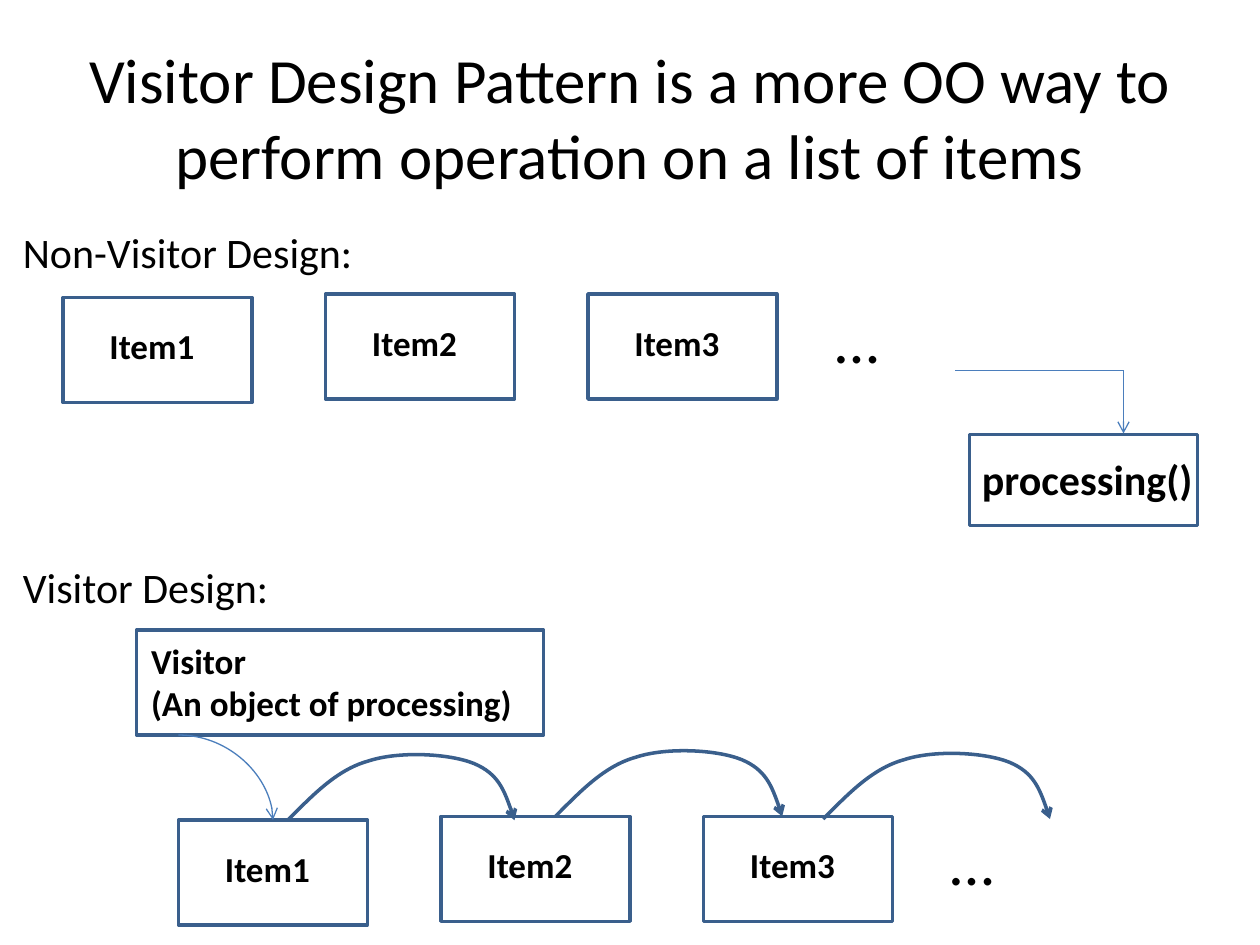
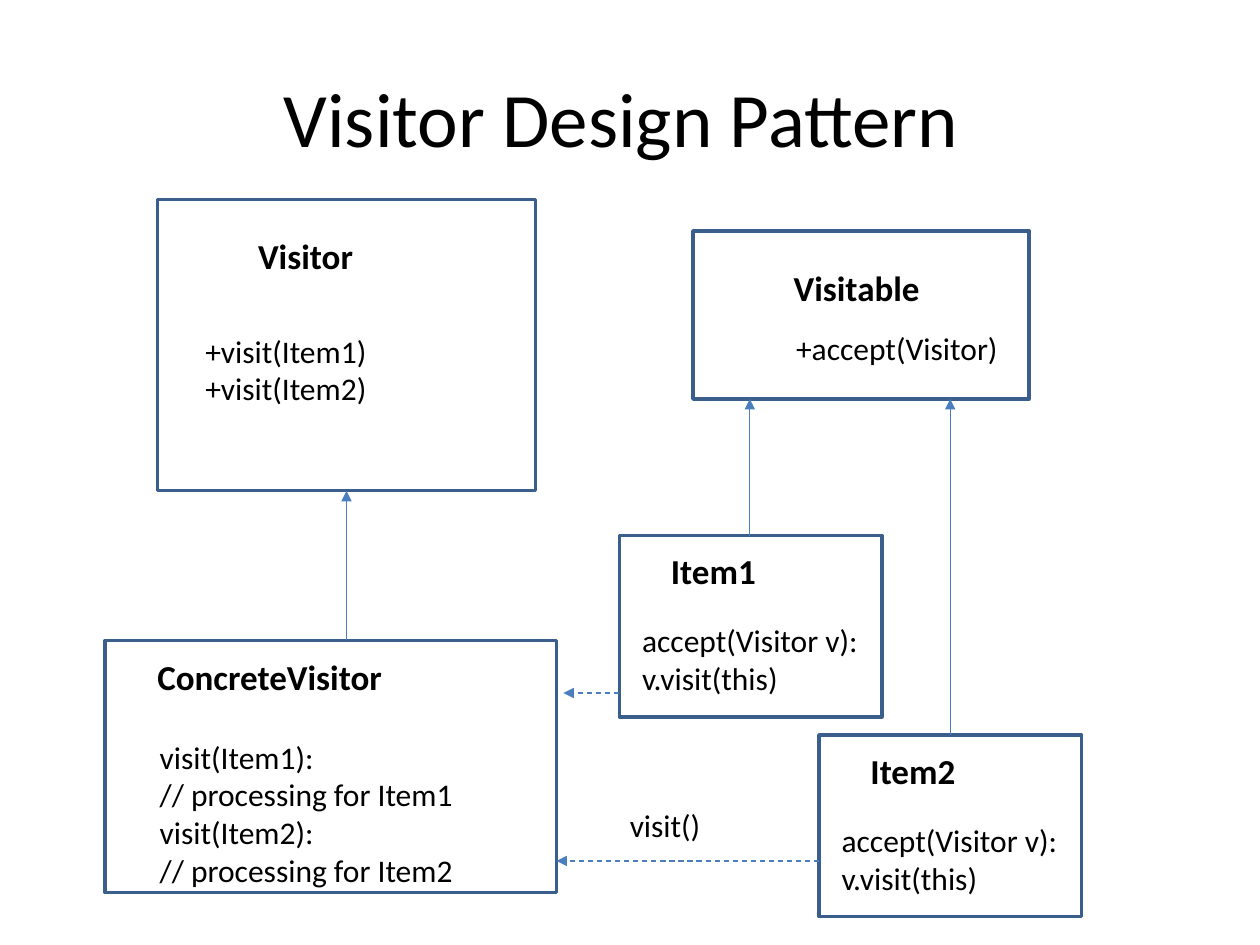
import pptx
import pptx.dml.color
import pptx.enum.dml
import pptx.enum.shapes
import pptx.enum.text
import pptx.oxml.ns
import pptx.oxml.xmlchemy
import pptx.util
from lxml import etree

Pt = pptx.util.Pt
qn = pptx.oxml.ns.qn
FONT = "Calibri"
TEXT = "000000"
OUTLINE = "3A5F8C"
ARROW = "4B7EBC"
CONNECTOR = pptx.enum.shapes.MSO_CONNECTOR
ITEM_SIZE = (108, 60)
ITEM_STEP = 150
HOP = [(0, 0), (14.4, -14.4), (28, -28.8), (46, -33.8), (63.4, -39.6),
       (92.2, -38.2), (106.5, -32.4), (120.2, -26.6), (125.3, -13.7), (129.6, 0)]


def color(value):
    return pptx.dml.color.RGBColor.from_string(value)


def points(*values):
    return [Pt(value) for value in values]


def format_text(frame, size, bold=False):
    for para in frame.paragraphs:
        for span in para.runs:
            span.font.name = FONT
            span.font.size = Pt(size)
            span.font.bold = bold
            span.font.color.rgb = color(TEXT)


def set_line(shape, value, width, head=None):
    shape.line.color.rgb = color(value)
    shape.line.width = Pt(width)
    if head:
        line = shape.line._get_or_add_ln()
        etree.SubElement(line, qn("a:tailEnd"), type=head)


def new_page(deck, title, size):
    page = deck.slides.add_slide(deck.slide_layouts[5])
    box = page.shapes.title
    box.left, box.top, box.width, box.height = points(36, 21.6, 648, 90)
    frame = box.text_frame
    frame.text = title
    frame.vertical_anchor = pptx.enum.text.MSO_ANCHOR.MIDDLE
    frame.paragraphs[0].alignment = pptx.enum.text.PP_ALIGN.CENTER
    format_text(frame, size)
    return page


def add_label(shapes, left, top, width, text, size, bold=False, wrap=False):
    height = 1.2 * size * len(text.split("\n")) + 7.2
    box = shapes.add_textbox(*points(left, top, width, height))
    frame = box.text_frame
    frame.word_wrap = wrap
    frame.auto_size = pptx.enum.text.MSO_AUTO_SIZE.SHAPE_TO_FIT_TEXT
    frame.text = text
    format_text(frame, size, bold)


def add_frame(shapes, left, top, width, height):
    shape = shapes.add_shape(pptx.enum.shapes.MSO_SHAPE.RECTANGLE,
                             *points(left, top, width, height))
    shape.shadow.inherit = False
    shape.fill.background()
    set_line(shape, OUTLINE, 2)


def add_arrow(page, start, end, head=None, dashed=False, kind=CONNECTOR.STRAIGHT):
    arrow = page.shapes.add_connector(kind, *points(*start, *end))
    if dashed:
        arrow.line.dash_style = pptx.enum.dml.MSO_LINE.DASH
    set_line(arrow, ARROW, 0.75, head)
    etree.SubElement(arrow._element.spPr, qn("a:effectLst"))
    return arrow


def add_quarter_curve(page, start, end):
    arrow = add_arrow(page, start, end, "arrow", kind=CONNECTOR.CURVE)
    arrow._element.spPr.find(qn("a:prstGeom")).set("prst", "curvedConnector2")


def add_hop(page, left, top):
    corners = [(Pt(left + x), Pt(top + y)) for x, y in HOP]
    builder = page.shapes.build_freeform(*corners[0])
    builder.add_line_segments(corners[1:], close=False)
    hop = builder.convert_to_shape()
    steps = list(hop._element.iter(qn("a:lnTo")))
    for first in range(0, len(steps), 3):
        curve = etree.Element(qn("a:cubicBezTo"))
        steps[first].addprevious(curve)
        for step in steps[first:first + 3]:
            curve.append(step[0])
            step.getparent().remove(step)
    hop.shadow.inherit = False
    hop.fill.background()
    set_line(hop, OUTLINE, 2, "arrow")


def add_item_row(page, left, top):
    for index in range(3):
        item_left = left + index * ITEM_STEP
        item_top = top + (2 if index == 0 else 0)
        group = page.shapes.add_group_shape()
        add_frame(group.shapes, item_left, item_top, *ITEM_SIZE)
        add_label(group.shapes, item_left + 19.5, item_top + 12, 76.3,
                  f"Item{index + 1}", 20, bold=True, wrap=True)
    add_label(page.shapes, left + 434.2, top, 39.6, "…", 36)


def add_direct_design(page, left, top):
    add_label(page.shapes, left, top, 204.5, "Non-Visitor Design:", 24)
    add_item_row(page, left + 30, top + 42)
    add_frame(page.shapes, left + 548, top + 122.4, 130.3, 51.8)
    add_label(page.shapes, left + 548, top + 129.6, 136, "processing()", 24, bold=True)
    bend = (left + 636, top + 85.7)
    add_arrow(page, (left + 540, top + 85.7), bend)
    add_arrow(page, bend, (left + 636, top + 121.7), "arrow")


def add_visitor_design(page, left, top):
    add_label(page.shapes, left, top, 156.2, "Visitor Design:", 24)
    add_frame(page.shapes, left + 72, top + 42.5, 232.6, 60)
    add_label(page.shapes, left + 73.2, top + 44.6, 236.9,
              "Visitor\n(An object of processing)", 20, bold=True, wrap=True)
    add_item_row(page, left + 96, top + 149)
    add_quarter_curve(page, (left + 96, top + 102.5), (left + 150, top + 151))
    for index, rise in enumerate((0, 2.2, 0.7)):
        add_hop(page, left + 158.4 + 153 * index, top + 151.2 - rise)


def add_class(page, box, name, name_box, body, body_box):
    left, top = box[:2]
    add_frame(page.shapes, *box)
    for text, size, (x, y, width) in ((name, 20, name_box), (body, 18, body_box)):
        add_label(page.shapes, left + x, top + y, width, text, size, bold=text == name)


def add_item_class(page, left, top, name):
    add_class(page, (left, top, 150, 103.7), name, (22.3, 4.6, 63.4),
              "accept(Visitor v):\nv.visit(this)", (5.8, 45.6, 143.3))


def comparison_page(deck):
    page = new_page(deck, "Visitor Design Pattern is a more OO way to "
                          "perform operation on a list of items", 36)
    add_direct_design(page, 6, 126)
    add_visitor_design(page, 6, 317.5)


def class_page(deck):
    page = new_page(deck, "Visitor Design Pattern ", 44)
    add_class(page, (396, 132, 192, 96), "Visitable", (50.4, 16.6, 87.1),
              "+accept(Visitor)", (51.8, 52.6, 135.4))
    add_class(page, (90, 114, 216, 166.3), "Visitor", (50.4, 16.6, 69.1),
              "+visit(Item1)\n+visit(Item2)", (20.2, 72, 107.3))
    add_class(page, (60, 366, 258, 144), "ConcreteVisitor", (22.8, 5, 144),
              "visit(Item1):\n// processing for Item1\n"
              "visit(Item2):\n// processing for Item2", (24.2, 52, 183.6))
    add_item_class(page, 354, 306, "Item1")
    add_item_class(page, 468, 420, "Item2")
    for x, start, end in ((198, 366, 280.5), (428.5, 306, 228), (543, 420, 228)):
        add_arrow(page, (x, start), (x, end), "triangle")
    for y, start, end in ((396, 354, 322), (492, 468, 318)):
        add_arrow(page, (start, y), (end, y), "triangle", dashed=True)
    add_label(page.shapes, 352.8, 457.2, 55.4, "visit()", 18)


deck = pptx.Presentation()
deck.slide_width, deck.slide_height = points(720, 540)
comparison_page(deck)
class_page(deck)
deck.save("out.pptx")
